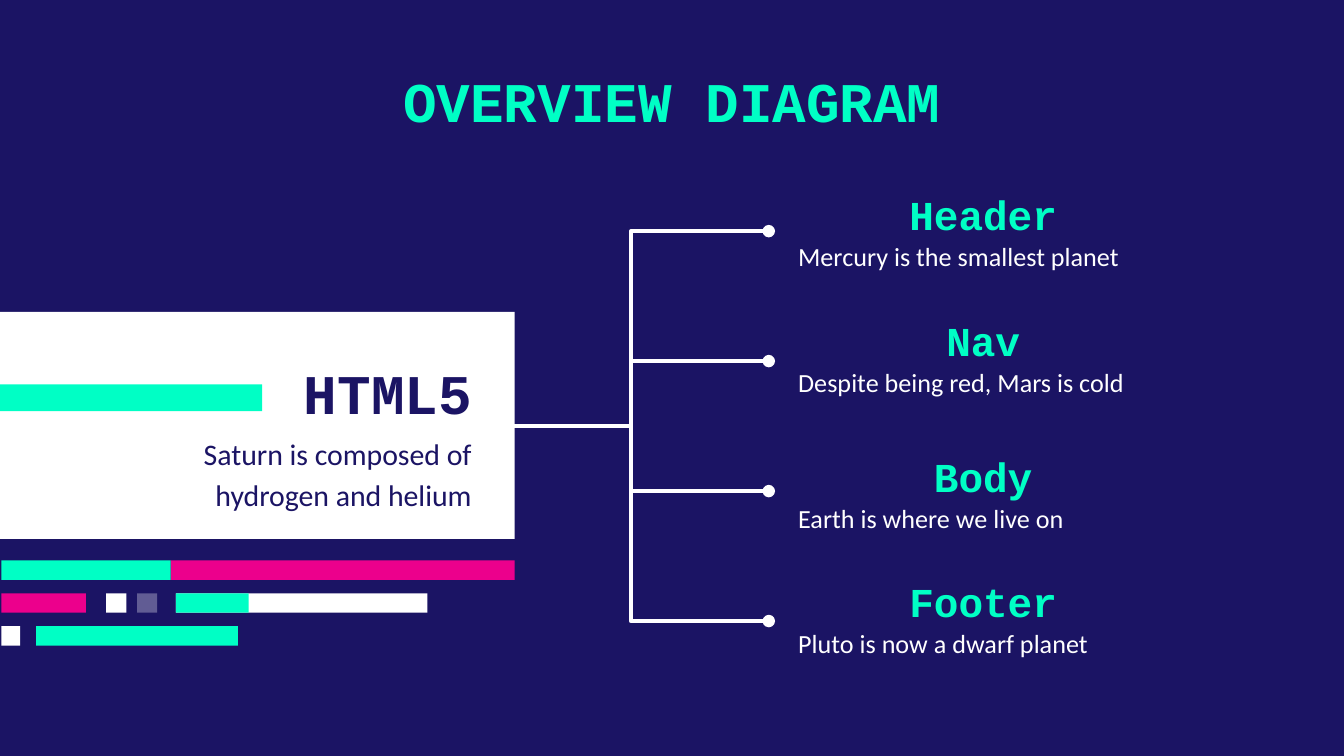
"""Build the overview diagram slide: one card that branches to four page parts."""

from lxml.etree import SubElement
from pptx import Presentation
from pptx.dml.color import RGBColor
from pptx.enum.shapes import MSO_CONNECTOR, MSO_SHAPE
from pptx.enum.text import MSO_ANCHOR, MSO_AUTO_SIZE, PP_ALIGN
from pptx.oxml.ns import qn
from pptx.util import Inches, Pt

NAVY = RGBColor(0x1B, 0x14, 0x64)
MINT = RGBColor(0x00, 0xFF, 0xC5)
PINK = RGBColor(0xEC, 0x00, 0x8C)
WHITE = RGBColor(0xFF, 0xFF, 0xFF)
MONO, SANS = "Courier New", "Calibri"

deck = Presentation()
deck.slide_width = Inches(10)
deck.slide_height = deck.slide_width * 9 // 16
CELL = deck.slide_width / 100

slide = deck.slides.add_slide(deck.slide_layouts[5])
slide.background.fill.solid()
slide.background.fill.fore_color.rgb = NAVY
shapes = slide.shapes


def grid(*cells):
    """Turn counts of grid cells into lengths."""
    return [round(cell * CELL) for cell in cells]


def write(words, area, holder=None, font=MONO, size=22, color=MINT, bold=True,
          align=PP_ALIGN.CENTER, anchor=MSO_ANCHOR.MIDDLE, inset=0, space=1.0):
    """Put formatted words in a holder or a new text box."""
    box = holder or shapes.add_textbox(0, 0, 0, 0)
    box.left, box.top, box.width, box.height = grid(*area)
    frame = box.text_frame
    frame.word_wrap = True
    frame.auto_size = MSO_AUTO_SIZE.NONE
    frame.vertical_anchor = anchor
    frame.margin_left, frame.margin_right = grid(1, 1)
    frame.margin_top, frame.margin_bottom = grid(inset, inset)
    frame.text = words
    para = frame.paragraphs[0]
    para.alignment = align
    para.line_spacing = space
    face = para.runs[0].font
    face.name, face.size, face.bold = font, Pt(size), bold
    face.color.rgb = color


bars = [
    (0, 23.2, 38.3, 16.9, WHITE, 100),
    (0, 28.6, 19.5, 2, MINT, 100),
    (12.7, 41.7, 25.6, 1.45, PINK, 100),
    (0.1, 41.7, 12.6, 1.45, MINT, 100),
    (13.1, 44.15, 18.7, 1.45, WHITE, 100),
    (13.1, 44.15, 5.4, 1.45, MINT, 100),
    (0.1, 44.15, 6.3, 1.45, PINK, 100),
    (10.2, 44.15, 1.5, 1.45, WHITE, 31),
    (7.9, 44.15, 1.5, 1.45, WHITE, 100),
    (0.1, 46.6, 1.4, 1.45, WHITE, 100),
    (2.7, 46.6, 15, 1.45, MINT, 100),
]
for left, top, width, height, color, solid in bars:
    bar = shapes.add_shape(MSO_SHAPE.RECTANGLE, *grid(left, top, width, height))
    bar.shadow.inherit = False
    bar.line.fill.background()
    bar.fill.solid()
    bar.fill.fore_color.rgb = color
    if solid < 100:
        tint = bar.element.spPr.find(qn("a:solidFill"))[0]
        SubElement(tint, qn("a:alpha"), val=str(solid * 1000))

write("OVERVIEW DIAGRAM", (14, 3.8, 72, 7.3), holder=shapes.title, size=30, inset=1)
write("HTML5", (9.5, 27, 26.6, 4.3), size=30, color=NAVY, align=PP_ALIGN.RIGHT)
write("Saturn is composed of hydrogen and helium", (9.5, 32, 26.6, 4.8),
      font=SANS, size=16, color=NAVY, bold=False, align=PP_ALIGN.RIGHT,
      anchor=MSO_ANCHOR.TOP, space=1.15)

parts = [
    ("Header", "Mercury is the smallest planet", 14.4),
    ("Nav", "Despite being red, Mars is cold", 23.8),
    ("Body", "Earth is where we live on", 33.9),
    ("Footer", "Pluto is now a dwarf planet", 43.2),
]
for index, (name, fact, top) in enumerate(parts):
    write(name, (58.4, top, 29.5, 3))
    write(fact, (58.4, top + 3.15, 29.5, 3), font=SANS, size=14, color=WHITE,
          bold=False, align=PP_ALIGN.LEFT, anchor=MSO_ANCHOR.TOP, space=1.15)
    link = shapes.add_connector(
        MSO_CONNECTOR.ELBOW, *grid(36.7, 31.7, 57.2, 17.2 + index * 9.67))
    link.line.width = Pt(2.25)
    link.line.color.rgb = WHITE
    props = link.element.spPr
    SubElement(props.find(qn("a:ln")), qn("a:tailEnd"), type="oval")
    SubElement(props, qn("a:effectLst"))

deck.save("out.pptx")
